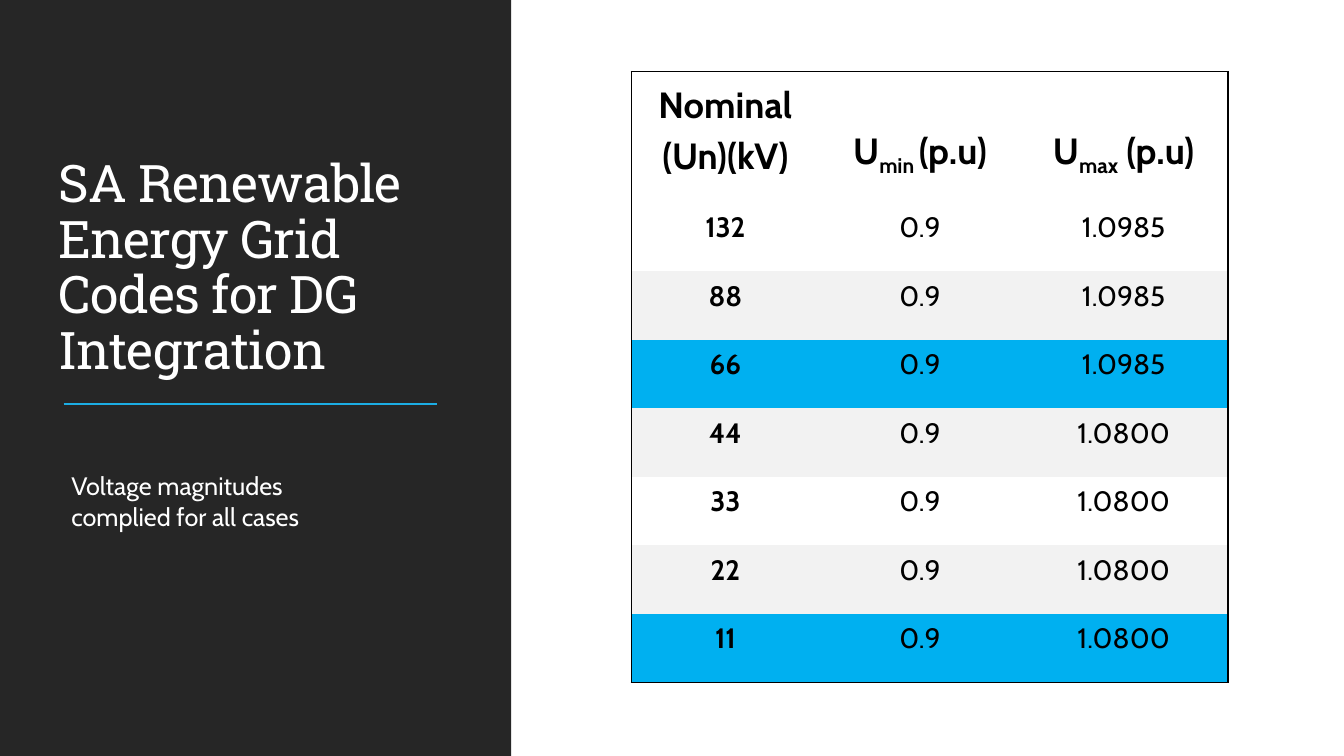
import dataclasses

import pptx
import pptx.chart.data
import pptx.dml.color
import pptx.enum.shapes
import pptx.enum.text
import pptx.oxml
import pptx.oxml.ns
import pptx.util
from pptx.util import Inches

ANCHOR = pptx.enum.text.MSO_ANCHOR


@dataclasses.dataclass(frozen=True)
class Theme:
    """Colours, fonts and type sizes of the slide."""
    dark: str = "262626"
    white: str = "FFFFFF"
    black: str = "000000"
    accent: str = "1CADE4"
    band: str = "F2F2F2"
    highlight: str = "00B0F0"
    heading_font: str = "Roboto Slab"
    body_font: str = "Cabin"
    title_size: float = 37
    header_size: float = 26
    value_size: float = 20
    note_size: float = 18


THEME = Theme()
HEADERS = [[("Nominal (Un)(kV)", False)],
           [("U", False), ("min ", True), ("(p.u)", False)],
           [("U", False), ("max", True), (" (p.u)", False)]]
LIMITS = [("132", "0.9", "1.0985"), ("88", "0.9", "1.0985"),
          ("66", "0.9", "1.0985"), ("44", "0.9", "1.0800"),
          ("33", "0.9", "1.0800"), ("22", "0.9", "1.0800"),
          ("11", "0.9", "1.0800")]
HIGHLIGHTED = ("66", "11")
COLUMN_WIDTHS = (1.88, 1.98, 2.06)
HEADER_HEIGHT, ROW_HEIGHT = 1.3, 0.68


def rgb(value):
    """Return a colour from its hex value."""
    return pptx.dml.color.RGBColor.from_string(value)


def style(paragraph, font, size, color, bold=False):
    """Set the font of a whole paragraph."""
    paragraph.font.name = font
    paragraph.font.size = pptx.util.Pt(size)
    paragraph.font.bold = bold
    paragraph.font.color.rgb = rgb(color)


def add_panel(slide, left, top, width, height, color):
    """Add a plain filled rectangle."""
    panel = slide.shapes.add_shape(
        pptx.enum.shapes.MSO_SHAPE.RECTANGLE,
        Inches(left), Inches(top), Inches(width), Inches(height))
    panel.shadow.inherit = False
    panel.fill.solid()
    panel.fill.fore_color.rgb = rgb(color)
    panel.line.fill.background()


def add_text(slide, left, top, width, height, text, font, size, anchor=ANCHOR.TOP):
    """Add a wrapped white text box and return its paragraph."""
    box = slide.shapes.add_textbox(
        Inches(left), Inches(top), Inches(width), Inches(height))
    frame = box.text_frame
    frame.word_wrap = True
    frame.vertical_anchor = anchor
    paragraph = frame.paragraphs[0]
    paragraph.add_run().text = text
    style(paragraph, font, size, THEME.white)
    return paragraph


def add_rule(slide, left, right, y):
    """Add the horizontal accent line under the title."""
    rule = slide.shapes.add_connector(
        pptx.enum.shapes.MSO_CONNECTOR.STRAIGHT,
        Inches(left), Inches(y), Inches(right), Inches(y))
    rule.line.color.rgb = rgb(THEME.accent)
    rule.line.width = pptx.util.Pt(1.5)
    properties = rule._element.spPr
    properties.append(properties.makeelement(pptx.oxml.ns.qn("a:effectLst"), {}))


def set_borders(cell, outer_edges):
    """Draw the outer edges of a cell and clear the others."""
    properties = cell._tc.get_or_add_tcPr()
    for index, edge in enumerate("LRTB"):
        paint = (f'<a:solidFill><a:srgbClr val="{THEME.black}"/></a:solidFill>'
                 if edge in outer_edges else "<a:noFill/>")
        properties.insert(index, pptx.oxml.parse_xml(
            f'<a:ln{edge} {pptx.oxml.ns.nsdecls("a")} w="12700">{paint}</a:ln{edge}>'))


def fill_cell(cell, pieces, size, bold, fill, anchor):
    """Write text pieces, some of them subscript, into a formatted cell."""
    cell.margin_left, cell.margin_right = Inches(0.11), Inches(0.12)
    cell.margin_top, cell.margin_bottom = Inches(0.03), Inches(0.24)
    cell.vertical_anchor = anchor
    if fill:
        cell.fill.solid()
        cell.fill.fore_color.rgb = rgb(fill)
    else:
        cell.fill.background()
    paragraph = cell.text_frame.paragraphs[0]
    paragraph.alignment = pptx.enum.text.PP_ALIGN.CENTER
    paragraph.line_spacing = 1.15
    for text, subscript in pieces:
        run = paragraph.add_run()
        run.text = text
        if subscript:
            run._r.get_or_add_rPr().set("baseline", "-25000")
    style(paragraph, THEME.body_font, size, THEME.black, bold)


def row_fill(index, voltage):
    """Choose the fill of a data row: highlighted, banded or none."""
    if voltage in HIGHLIGHTED:
        return THEME.highlight
    return THEME.band if index % 2 else None


def add_limits_table(slide, left, top):
    """Add the table of voltage limits."""
    last_row, last_column = len(LIMITS), len(HEADERS) - 1
    table = slide.shapes.add_table(
        last_row + 1, last_column + 1, Inches(left), Inches(top),
        Inches(sum(COLUMN_WIDTHS)),
        Inches(HEADER_HEIGHT + ROW_HEIGHT * last_row)).table
    table.first_row = table.horz_banding = False
    for column, width in zip(table.columns, COLUMN_WIDTHS):
        column.width = Inches(width)
    for index, row in enumerate(table.rows):
        row.height = Inches(ROW_HEIGHT if index else HEADER_HEIGHT)
    for column, pieces in enumerate(HEADERS):
        fill_cell(table.cell(0, column), pieces, THEME.header_size, True, None,
                  ANCHOR.BOTTOM)
    for index, limits in enumerate(LIMITS):
        for column, value in enumerate(limits):
            fill_cell(table.cell(index + 1, column), [(value, False)],
                      THEME.value_size, column == 0,
                      row_fill(index, limits[0]), ANCHOR.TOP)
    for row in range(last_row + 1):
        for column in range(last_column + 1):
            edges = {"L": column == 0, "R": column == last_column,
                     "T": row == 0, "B": row == last_row}
            set_borders(table.cell(row, column),
                        [edge for edge, outer in edges.items() if outer])


def main():
    """Build the slide and save it."""
    deck = pptx.Presentation()
    deck.slide_width, deck.slide_height = Inches(13.33), Inches(7.5)
    slide = deck.slides.add_slide(deck.slide_layouts[6])
    add_panel(slide, 0, 0, 5.07, 7.5, THEME.dark)
    title = add_text(slide, 0.48, 0.7, 4, 3.13,
                     "SA Renewable Energy Grid Codes for DG Integration",
                     THEME.heading_font, THEME.title_size, ANCHOR.BOTTOM)
    title.line_spacing = 0.9
    title.runs[0]._r.get_or_add_rPr().set("spc", "-50")
    add_rule(slide, 0.63, 4.33, 4.01)
    add_limits_table(slide, 6.26, 0.71)
    add_text(slide, 0.61, 4.62, 3.14, 0.71,
             "Voltage magnitudes complied for all cases",
             THEME.body_font, THEME.note_size)
    deck.save("out.pptx")


if __name__ == "__main__":
    main()
